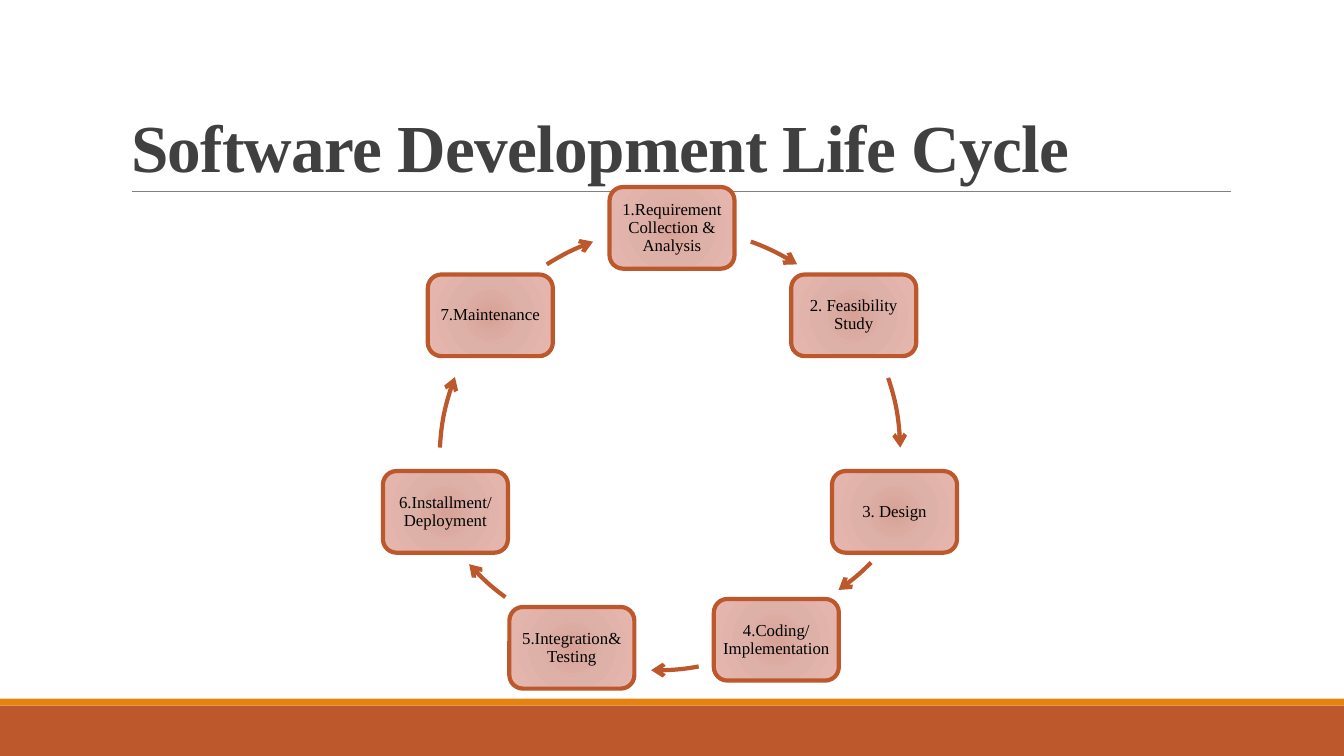
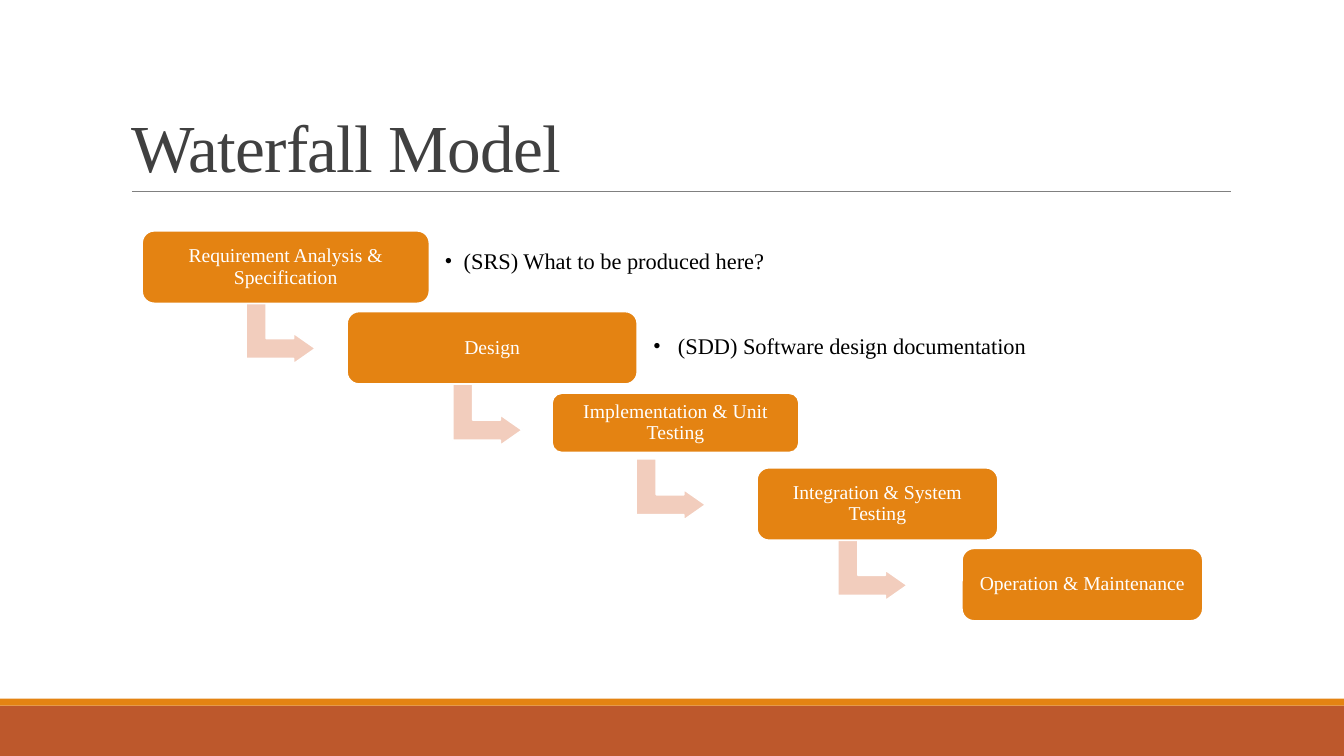
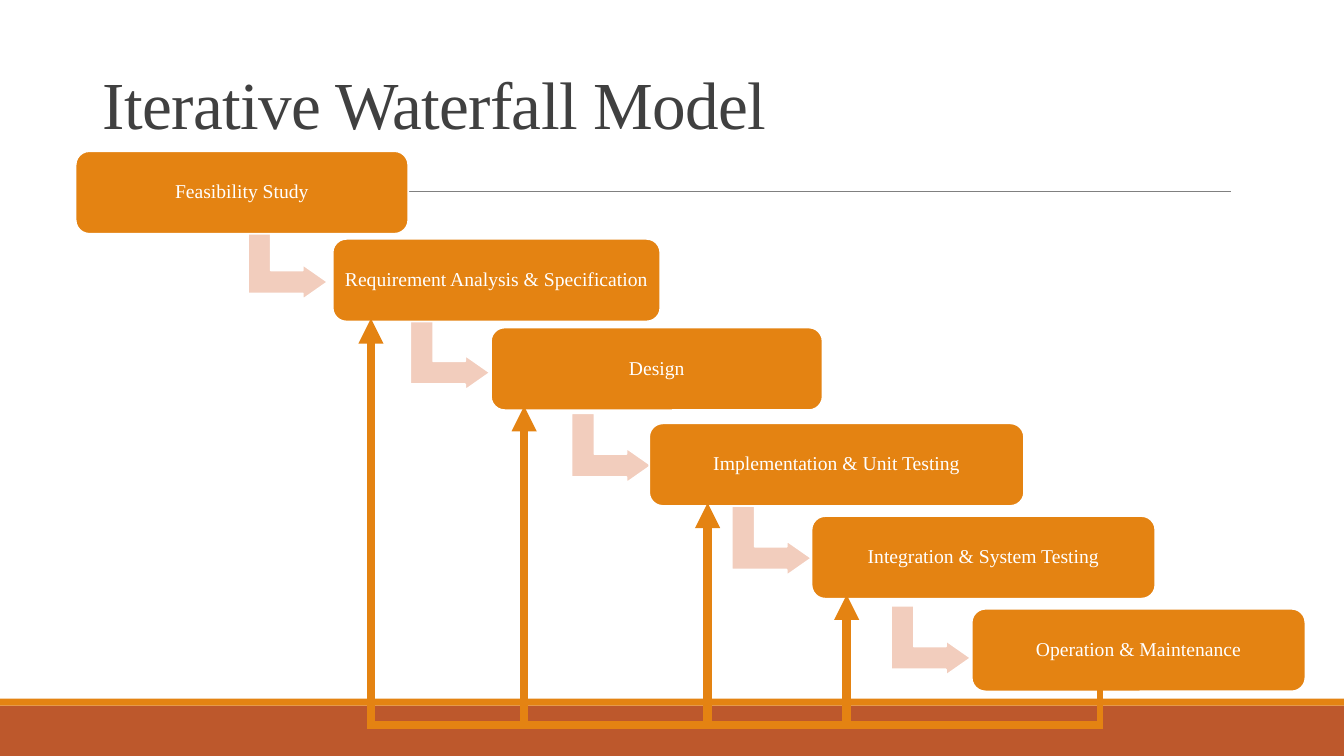
from dataclasses import dataclass
from itertools import zip_longest
from math import cos, radians, sin

from lxml.etree import SubElement
from pptx import Presentation
from pptx.dml.color import RGBColor
from pptx.enum.shapes import MSO_CONNECTOR as Link, MSO_SHAPE as Preset
from pptx.enum.text import MSO_ANCHOR as Anchor, MSO_AUTO_SIZE as AutoSize, PP_ALIGN as Align
from pptx.oxml import parse_xml
from pptx.oxml.ns import nsdecls, qn
from pptx.shapes.autoshape import Shape
from pptx.shapes.connector import Connector
from pptx.slide import Slide, SlideLayout
from pptx.util import Inches, Pt

FONT = "Times New Roman"
WHITE, BLACK, TITLE, RULE = "FFFFFF", "000000", "404040", "808080"
RUST, ORANGE, PEACH = "BD582C", "E48312", "F2CDBD"
NODE_STOPS = ((0, "D7A197"), (45, "DEB1A8"), (100, "E6B7AE"))

# Every position is given on a grid of 100 columns by 100 rows.
WIDTH, HEIGHT = Inches(13.33), Inches(7.5)
RING_X, RING_Y = 50, 60.87
RADIUS_COLS, RADIUS_ROWS = 17.29, 30.73
NODE_COLS, NODE_ROWS = 9.3, 10.8
BUS_ROW, BUS_END_ROW = 95.87, 96.4


@dataclass(frozen=True)
class Area:
    left: float
    top: float
    cols: float
    rows: float


@dataclass(frozen=True)
class Node:
    """A step of the cycle and its shift from the even spot on the ring."""
    text: str
    shift: tuple[float, float] = (0, 0)


@dataclass(frozen=True)
class Arc:
    """An arrow along the ring, in degrees clockwise from the top."""
    start: float
    end: float
    shift: tuple[float, float] = (0, 0)


@dataclass(frozen=True)
class Stage:
    text: str
    area: Area


@dataclass(frozen=True)
class Note:
    text: str
    area: Area


@dataclass(frozen=True)
class Feedback:
    col: float
    tip_row: float


NODES = (
    Node("1.Requirement Collection & Analysis"),
    Node("2. Feasibility Study"),
    Node("3. Design", (-0.3, 0)),
    Node("4.Coding/Implementation", (0.26, -3.93)),
    Node("5.Integration&Testing", (0.05, -2.87)),
    Node("6.Installment/Deployment"),
    Node("7.Maintenance"),
)
ARCS = (
    Arc(19.85, 32.6),
    Arc(71.4, 88.9, (-0.3, -1.07)),
    Arc(134.5, 145, (2.48, -8)),
    Arc(169.6, 181.4, (-1.13, -2.93)),
    Arc(216.2, 228.3, (-2.18, -6.67)),
    Arc(273.1, 290.95),
    Arc(327.4, 340.15),
)

FIRST_COL, STEP_COLS = 10.57, 15.25
WATERFALL = tuple(
    Stage(text, Area(FIRST_COL + STEP_COLS * index, top, cols, rows))
    for index, (text, top, cols, rows) in enumerate((
        ("Requirement Analysis & Specification", 30.53, 21.38, 9.6),
        ("Design", 41.2, 21.6, 9.6),
        ("Implementation & Unit Testing", 52, 18.38, 7.87),
        ("Integration & System Testing", 61.87, 17.93, 9.6),
        ("Operation & Maintenance", 72.53, 17.93, 9.6),
    ))
)
WATERFALL_BENDS = tuple(
    Area(left, top, 5.18, 8.13)
    for left, top in ((18.3, 40), (33.68, 50.8), (47.33, 60.67), (62.33, 71.33))
)
NOTES = (
    Note("(SRS) What to be produced here?", Area(32.55, 31.87, 28.95, 5.73)),
    Note(" (SDD) Software design documentation", Area(48.08, 42.13, 32.33, 7.73)),
)

ITERATIVE = tuple(
    Stage(text, Area(left, top, cols, 10.93))
    for text, left, top, cols in (
        ("Feasibility Study", 5.63, 20, 24.75),
        ("Requirement Analysis & Specification", 24.75, 31.6, 24.38),
        ("Design", 36.53, 43.33, 24.68),
        ("Implementation & Unit Testing", 48.3, 56, 27.9),
        ("Integration & System Testing", 60.38, 68.27, 25.58),
        ("Operation & Maintenance", 72.3, 80.53, 24.83),
    )
)
ITERATIVE_BENDS = tuple(
    Area(left, top, 5.93, 9.2)
    for left, top in ((18.45, 30.4), (30.53, 42.4), (42.53, 54.67),
                      (54.45, 66.93), (66.3, 80.13))
)
FEEDBACKS = (Feedback(27.6, 42.13), Feedback(39, 53.73),
             Feedback(52.65, 66.53), Feedback(63, 78.67))
RETURN_LINE = Feedback(81.83, 91.07)


def across(cols: float) -> int:
    return round(WIDTH * cols / 100)


def down(rows: float) -> int:
    return round(HEIGHT * rows / 100)


def frame(area: Area) -> tuple[int, int, int, int]:
    return across(area.left), down(area.top), across(area.cols), down(area.rows)


def color(code: str) -> RGBColor:
    return RGBColor.from_string(code)


def set_line(shape: Shape | Connector, code: str, points: float, head: str = "") -> None:
    """Colour an outline or line, with an optional arrowhead at its end."""
    shape.line.color.rgb = color(code)
    shape.line.width = Pt(points)
    if head:
        SubElement(shape.element.spPr.find(qn("a:ln")), qn("a:tailEnd"), type=head)


def add_preset(page: Slide, preset: Preset, area: Area, fill: str) -> Shape:
    shape = page.shapes.add_shape(preset, *frame(area))
    shape.shadow.inherit = False
    shape.fill.solid()
    shape.fill.fore_color.rgb = color(fill)
    shape.line.fill.background()
    return shape


def add_line(page: Slide, start: tuple[float, float], end: tuple[float, float],
             code: str, points: float, head: str = "") -> Connector:
    line = page.shapes.add_connector(
        Link.STRAIGHT, across(start[0]), down(start[1]), across(end[0]), down(end[1]))
    set_line(line, code, points, head)
    SubElement(line.element.spPr, qn("a:effectLst"))
    return line


def write(shape: Shape, text: str, size: float, code: str, margin: float,
          align: Align = Align.CENTER) -> None:
    box = shape.text_frame
    box.word_wrap = True
    box.vertical_anchor = Anchor.MIDDLE
    box.margin_left = box.margin_right = Inches(margin)
    box.margin_top = box.margin_bottom = Inches(margin)
    para = box.paragraphs[0]
    para.text = text
    para.alignment = align
    para.line_spacing = 0.9
    para.font.name, para.font.size = FONT, Pt(size)
    para.font.color.rgb = color(code)


def fill_radially(shape: Shape, stops: tuple[tuple[int, str], ...]) -> None:
    marks = "".join(
        f'<a:gs pos="{share * 1000}"><a:srgbClr val="{code}"/></a:gs>'
        for share, code in stops)
    gradient = parse_xml(
        f'<a:gradFill {nsdecls("a")} rotWithShape="1"><a:gsLst>{marks}</a:gsLst>'
        '<a:path path="circle"><a:fillToRect l="100000" t="100000" r="100000" b="100000"/>'
        "</a:path></a:gradFill>")
    properties = shape.element.spPr
    properties.replace(properties.find(qn("a:solidFill")), gradient)


def furnish_layout(layout: SlideLayout, page: Slide) -> None:
    """Draw the bands and the title rule, and hand them to the layout."""
    parts = (
        add_preset(page, Preset.RECTANGLE, Area(0, 93.33, 100, 6.67), RUST),
        add_preset(page, Preset.RECTANGLE, Area(0, 92.4, 100, 0.93), ORANGE),
        add_line(page, (9.82, 25.33), (91.58, 25.33), RULE, 0.5),
    )
    for offset, part in enumerate(parts):
        part.element.xpath(".//p:cNvPr")[0].set("id", str(100 + offset))
        layout.shapes.element.insert(2 + offset, part.element)


def set_title(page: Slide, text: str, area: Area, bold: bool = False) -> None:
    title = page.shapes.title
    title.left, title.top, title.width, title.height = frame(area)
    box = title.text_frame
    box.auto_size = AutoSize.NONE
    box.vertical_anchor = Anchor.BOTTOM
    para = box.paragraphs[0]
    para.text = text
    para.alignment = Align.LEFT
    para.line_spacing = 0.85
    para.font.name, para.font.size, para.font.bold = FONT, Pt(48), bold
    para.font.color.rgb = color(TITLE)
    for style in title.element.iter(qn("a:defRPr")):
        style.set("spc", "-50")


def ring_point(degrees: float, shift: tuple[float, float]) -> tuple[float, float]:
    angle = radians(degrees)
    return (RING_X + shift[0] + RADIUS_COLS * sin(angle),
            RING_Y + shift[1] - RADIUS_ROWS * cos(angle))


def add_node(page: Slide, node: Node, degrees: float) -> None:
    col, row = ring_point(degrees, node.shift)
    area = Area(col - NODE_COLS / 2, row - NODE_ROWS / 2, NODE_COLS, NODE_ROWS)
    shape = add_preset(page, Preset.ROUNDED_RECTANGLE, area, NODE_STOPS[0][1])
    fill_radially(shape, NODE_STOPS)
    set_line(shape, RUST, 3)
    write(shape, node.text, 12, BLACK, 0.05)


def add_arc(page: Slide, arc: Arc) -> None:
    """Draw a curved arrow whose frame holds the whole ring."""
    left, top, width, height = frame(Area(
        RING_X + arc.shift[0] - RADIUS_COLS, RING_Y + arc.shift[1] - RADIUS_ROWS,
        2 * RADIUS_COLS, 2 * RADIUS_ROWS))
    builder = page.shapes.build_freeform(left, top)
    builder.add_line_segments([(left + width, top + height)], close=False)
    curve = builder.convert_to_shape()
    col, row = ring_point(arc.start, arc.shift)
    start, sweep = round((arc.start - 90) % 360 * 60000), round((arc.end - arc.start) * 60000)
    outline = parse_xml(
        f'<a:pathLst {nsdecls("a")}><a:path w="{width}" h="{height}" fill="none">'
        f'<a:moveTo><a:pt x="{across(col) - left}" y="{down(row) - top}"/></a:moveTo>'
        f'<a:arcTo wR="{width // 2}" hR="{height // 2}" stAng="{start}" swAng="{sweep}"/>'
        "</a:path></a:pathLst>")
    geometry = curve.element.spPr.find(qn("a:custGeom"))
    geometry.replace(geometry.find(qn("a:pathLst")), outline)
    curve.shadow.inherit = False
    curve.fill.background()
    set_line(curve, RUST, 3, "arrow")


def add_stage(page: Slide, stage: Stage) -> None:
    shape = add_preset(page, Preset.ROUNDED_RECTANGLE, stage.area, ORANGE)
    set_line(shape, WHITE, 1.25)
    write(shape, stage.text, 14, WHITE, 0.06)


def add_bend(page: Slide, area: Area) -> None:
    """Draw a down-then-right arrow that covers the area once it is turned."""
    shape = add_preset(page, Preset.BENT_UP_ARROW, area, PEACH)
    center_x, center_y = shape.left + shape.width // 2, shape.top + shape.height // 2
    shape.width, shape.height = shape.height, shape.width
    shape.left, shape.top = center_x - shape.width // 2, center_y - shape.height // 2
    shape.rotation = 90
    for index, share in enumerate((0.328, 0.25, 0.358)):
        shape.adjustments[index] = share
    set_line(shape, WHITE, 1.25)


def add_stairs(page: Slide, stages: tuple[Stage, ...], bends: tuple[Area, ...]) -> None:
    for stage, bend in zip_longest(stages, bends):
        if bend:
            add_bend(page, bend)
        add_stage(page, stage)


def add_note(page: Slide, note: Note) -> None:
    shape = page.shapes.add_textbox(*frame(note.area))
    write(shape, note.text, 16, BLACK, 0.07, Align.LEFT)
    properties = shape.text_frame.paragraphs[0]._p.get_or_add_pPr()
    properties.set("marL", str(Inches(0.19)))
    properties.set("indent", str(-Inches(0.19)))
    style = properties.find(qn("a:defRPr"))
    for bullet in (f'<a:buFont {nsdecls("a")} typeface="{FONT}"/>',
                   f'<a:buChar {nsdecls("a")} char="•"/>'):
        style.addprevious(parse_xml(bullet))


def add_feedback_lines(page: Slide) -> None:
    add_line(page, (FEEDBACKS[0].col, BUS_ROW), (RETURN_LINE.col, BUS_ROW), ORANGE, 6)
    for feedback in FEEDBACKS:
        add_line(page, (feedback.col, BUS_END_ROW), (feedback.col, feedback.tip_row),
                 ORANGE, 6, "triangle")
    add_line(page, (RETURN_LINE.col, RETURN_LINE.tip_row),
             (RETURN_LINE.col, BUS_END_ROW), ORANGE, 4.5)


def main() -> None:
    deck = Presentation()
    deck.slide_width, deck.slide_height = WIDTH, HEIGHT
    layout = deck.slide_layouts.get_by_name("Title Only")
    cycle, waterfall, iterative = (deck.slides.add_slide(layout) for _ in range(3))
    furnish_layout(layout, cycle)
    title_area = Area(9, 4.13, 82.5, 21.2)

    set_title(cycle, "Software Development Life Cycle", title_area, bold=True)
    for index, (node, arc) in enumerate(zip(NODES, ARCS)):
        add_node(cycle, node, 360 / len(NODES) * index)
        add_arc(cycle, arc)

    set_title(waterfall, "Waterfall Model", title_area)
    add_stairs(waterfall, WATERFALL, WATERFALL_BENDS)
    for note in NOTES:
        add_note(waterfall, note)

    set_title(iterative, "Iterative Waterfall Model", Area(6.9, 0.4, 86.25, 19.2))
    add_stairs(iterative, ITERATIVE, ITERATIVE_BENDS)
    add_feedback_lines(iterative)

    deck.save("out.pptx")


if __name__ == "__main__":
    main()
